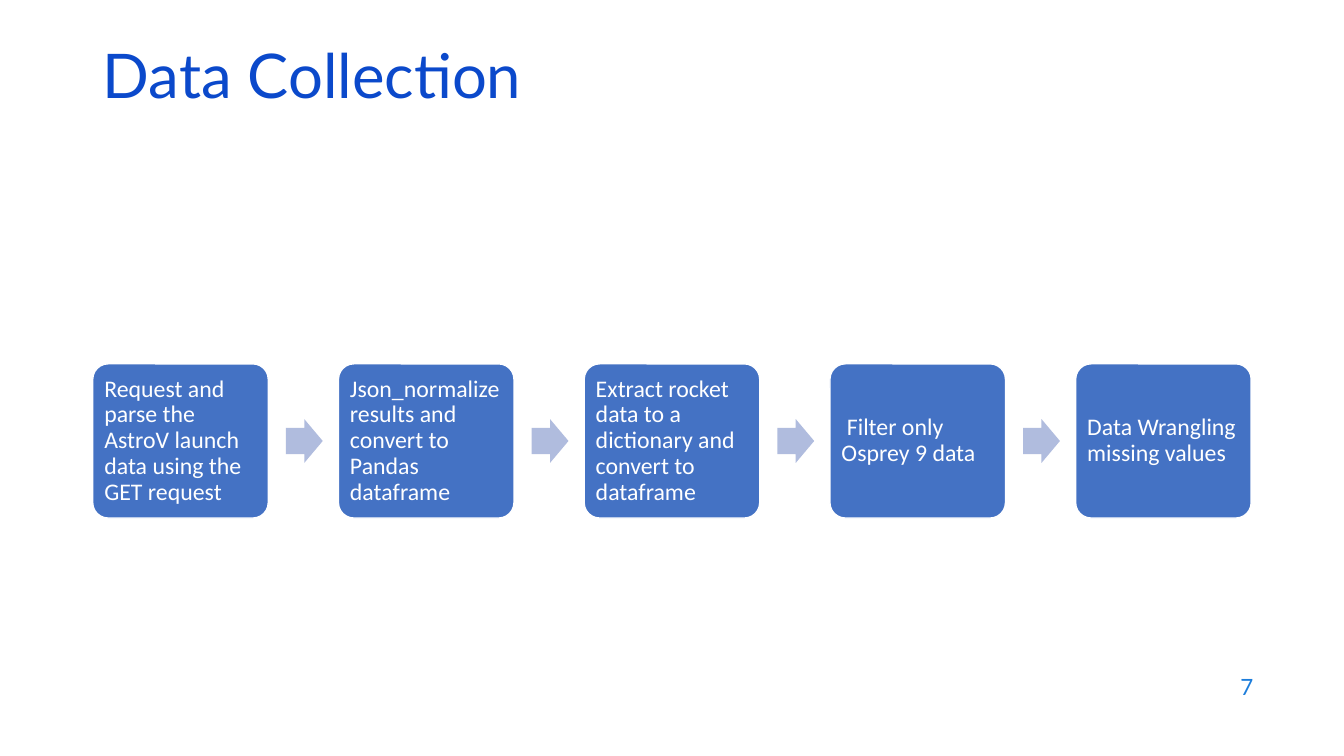
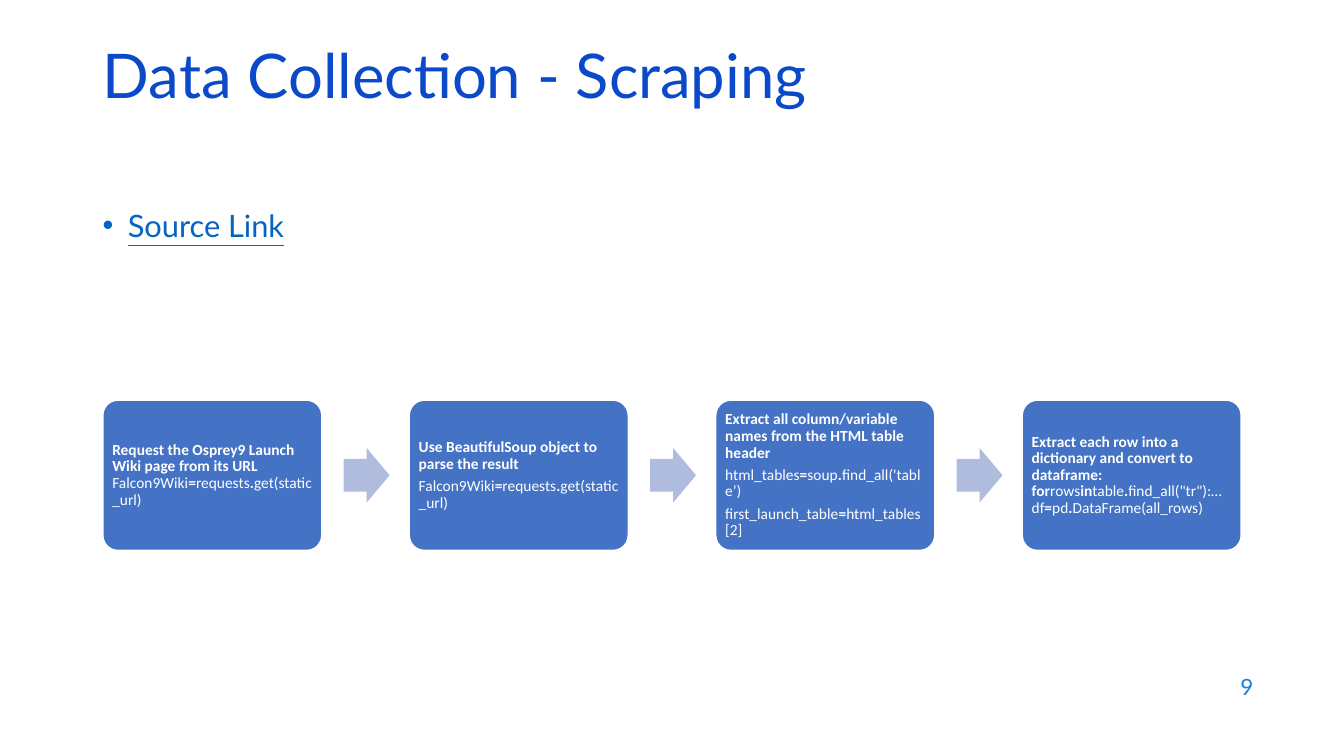
import pptx
import pptx.util
import pptx.dml.color
import pptx.enum.shapes
import pptx.enum.text
from lxml import etree

Inches, Pt = pptx.util.Inches, pptx.util.Pt
SHAPE = pptx.enum.shapes.MSO_SHAPE
ALIGN = pptx.enum.text.PP_ALIGN
ANCHOR = pptx.enum.text.MSO_ANCHOR

COLORS = {"title": "0B49CB", "number": "1C7DDB", "link": "0563C1",
          "box": "4472C4", "arrow": "B0BCDE", "white": "FFFFFF"}
HEAD_FONT, BOX_FONT = "Lato", "Calibri"
SLIDE_W, SLIDE_H = 13.33, 7.5
MARGIN, CONTENT_W = 0.92, 11.5

# Arrow and gap sizes as shares of a box's width
GAP, ARROW_GAP, ARROW_W, ARROW_H = 0.4, 0.1, 0.21, 0.25

# Content: a step is a list of paragraphs, a paragraph a list of (text, bold)
BREAK = ("\n", False)


def plain(text):
    return [[(text, False)]]


WIKI_CALL = [("Falcon9Wiki", False), ("=", True), ("requests", False),
             (".", True), ("get(static_url)", False)]

SLIDES = [
    {"title": "Data Collection", "number": "7", "link": None,
     "flow": {"left": MARGIN, "top": 3.61, "height": 1.53, "size": 17, "inset": 0.07},
     "steps": [
         plain("Request and parse the AstroV launch data using the GET request"),
         plain("Json_normalize results and convert to Pandas dataframe"),
         plain("Extract rocket data to a dictionary and convert to dataframe"),
         plain(" Filter only Osprey 9 data"),
         plain("Data Wrangling missing values"),
     ]},
    {"title": "Data Collection - Scraping", "number": "9", "link": "Source Link",
     "flow": {"left": 1.02, "top": 3.97, "height": 1.49, "size": 11, "inset": 0.05},
     "steps": [
         [[("Request the Osprey9 Launch Wiki page from its URL", True), BREAK] + WIKI_CALL],
         [[("Use BeautifulSoup object to parse the result", True)], WIKI_CALL],
         [[("Extract all column/variable names from the HTML table header", True)],
          [("html_tables", False), ("=", True), ("soup", False), (".", True),
           ("find_all('table’)", False)],
          [("first_launch_table", False), ("=", True), ("html_tables[2]", False)]],
         [[("Extract each row into a dictionary and convert to dataframe:", True), BREAK,
           ("for", True), ("rows", False), ("in", True), ("table", False), (".", True),
           ("find_all(\"tr\"):…", False), BREAK,
           ("df", False), ("=", True), ("pd", False), (".", True),
           ("DataFrame(all_rows)", False)]],
     ]},
]


def rgb(name):
    return pptx.dml.color.RGBColor.from_string(COLORS[name])


def add_run(p, text, font, size, color, bold=False, underline=False):
    r = p.add_run()
    r.text = text
    r.font.name, r.font.size, r.font.bold = font, Pt(size), bold
    r.font.underline = underline
    r.font.color.rgb = rgb(color)


def add_textbox(s, left, top, width, height, anchor):
    tf = s.shapes.add_textbox(*map(Inches, (left, top, width, height))).text_frame
    tf.word_wrap = True
    tf.vertical_anchor = anchor
    return tf


def add_title(s, text):
    sp = s.shapes.title
    sp.left, sp.top = Inches(MARGIN), Inches(0.4)
    sp.width, sp.height = Inches(CONTENT_W), Inches(1.45)
    tf = sp.text_frame
    tf.auto_size = pptx.enum.text.MSO_AUTO_SIZE.NONE
    tf.vertical_anchor = ANCHOR.TOP
    p = tf.paragraphs[0]
    p.alignment, p.line_spacing = ALIGN.LEFT, 0.9
    add_run(p, text, HEAD_FONT, 44, "title")


def add_number(s, text):
    p = add_textbox(s, 9.53, 6.59, 3, 0.44, ANCHOR.MIDDLE).paragraphs[0]
    p.alignment = ALIGN.RIGHT
    add_run(p, text, HEAD_FONT, 16, "number")


def add_link_bullet(s, text):
    p = add_textbox(s, MARGIN, 2, CONTENT_W, 0.5, ANCHOR.TOP).paragraphs[0]
    pPr = p._p.get_or_add_pPr()
    pPr.set("marL", str(Inches(0.25)))
    pPr.set("indent", str(Inches(-0.25)))
    ns = pptx.oxml.ns.qn
    etree.SubElement(pPr, ns("a:buFont")).set("typeface", "Arial")
    etree.SubElement(pPr, ns("a:buChar")).set("char", "•")
    add_run(p, text, HEAD_FONT, 22, "link", underline=True)


def add_block(s, kind, left, top, width, height, fill, adjustments):
    sp = s.shapes.add_shape(kind, *map(Inches, (left, top, width, height)))
    sp.shadow.inherit = False
    sp.fill.solid()
    sp.fill.fore_color.rgb = rgb(fill)
    for i, value in enumerate(adjustments):
        sp.adjustments[i] = value
    return sp


def fill_step(sp, paragraphs, size, inset):
    tf = sp.text_frame
    tf.word_wrap = True
    tf.vertical_anchor = ANCHOR.MIDDLE
    tf.margin_left = tf.margin_right = tf.margin_top = tf.margin_bottom = Inches(inset)
    for i, runs in enumerate(paragraphs):
        p = tf.add_paragraph() if i else tf.paragraphs[0]
        p.alignment, p.line_spacing = ALIGN.LEFT, 0.9
        if i:
            p.space_before = Pt(round(size * 0.35))
        for run in runs:
            if run == BREAK:
                p.add_line_break()
            else:
                add_run(p, run[0], BOX_FONT, size, "white", bold=run[1])


def add_flow(s, steps, left, top, height, size, inset):
    # Boxes and gaps together fill the width between equal side margins
    n = len(steps)
    span = SLIDE_W - 2 * left
    box_w = span / (n + (n - 1) * GAP)
    arrow_h = ARROW_H * box_w
    for i, paragraphs in enumerate(steps):
        x = left + i * box_w * (1 + GAP)
        box = add_block(s, SHAPE.ROUNDED_RECTANGLE, x, top, box_w, height, "box", [0.1])
        box.line.color.rgb = rgb("white")
        box.line.width = Pt(1)
        fill_step(box, paragraphs, size, inset)
        if i < n - 1:
            arrow = add_block(s, SHAPE.RIGHT_ARROW, x + box_w * (1 + ARROW_GAP),
                              top + (height - arrow_h) / 2, ARROW_W * box_w, arrow_h,
                              "arrow", [0.6, 0.5])
            arrow.line.fill.background()


def main():
    prs = pptx.Presentation()
    prs.slide_width, prs.slide_height = Inches(SLIDE_W), Inches(SLIDE_H)
    for content in SLIDES:
        s = prs.slides.add_slide(prs.slide_layouts[5])
        add_title(s, content["title"])
        if content["link"]:
            add_link_bullet(s, content["link"])
        add_flow(s, content["steps"], **content["flow"])
        add_number(s, content["number"])
    prs.save("out.pptx")


if __name__ == "__main__":
    main()
